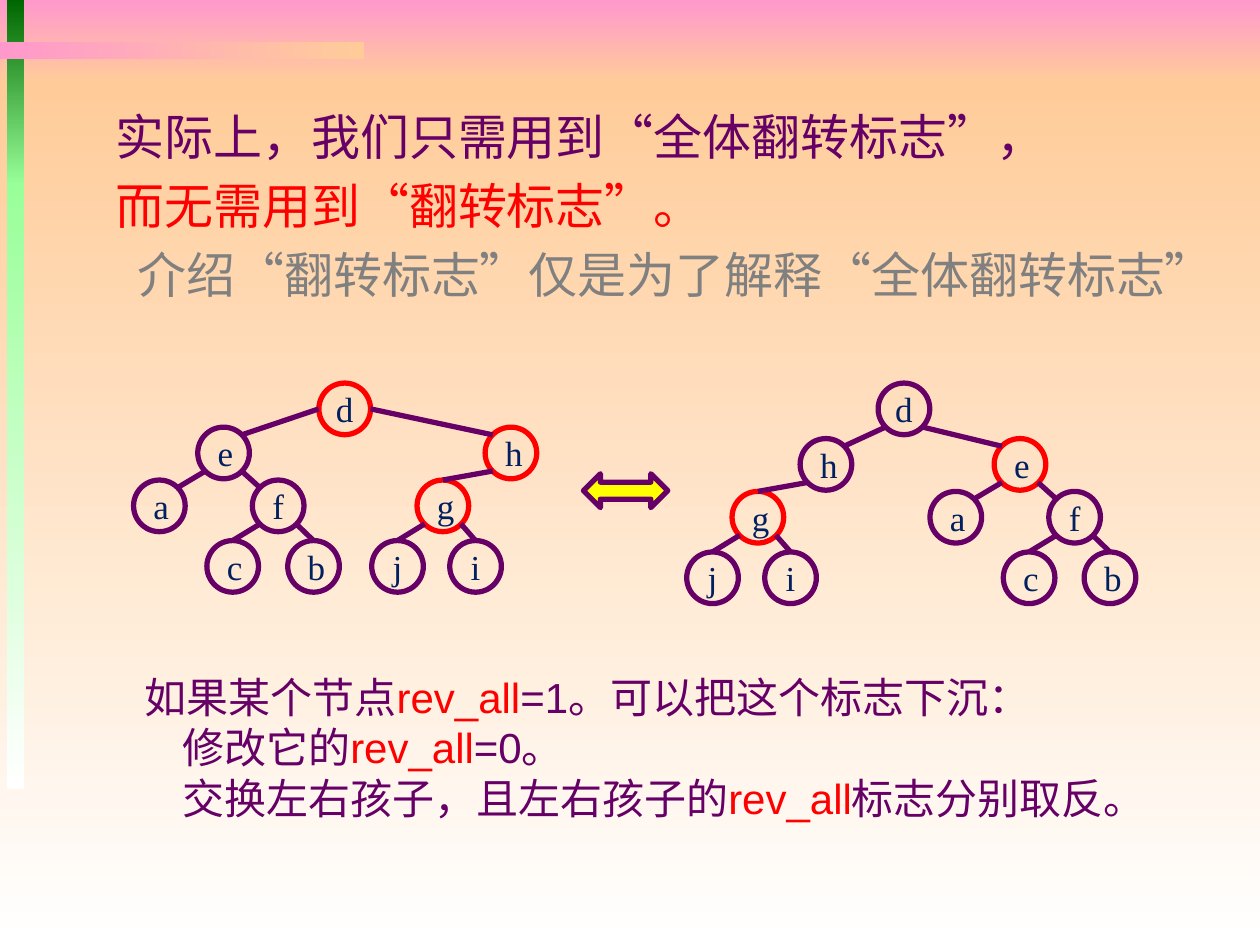
from lxml.etree import SubElement
from pptx import Presentation
from pptx.dml.color import RGBColor
from pptx.enum.shapes import MSO_CONNECTOR, MSO_SHAPE
from pptx.enum.text import MSO_ANCHOR, PP_ALIGN
from pptx.oxml.ns import qn
from pptx.util import Pt

COLORS = {
    "pink": "FF99CC", "peach": "FFCC99", "white": "FFFFFF",
    "dark green": "006600", "light green": "99FF99", "yellow": "FFFF00",
    "purple": "660066", "red": "FF0000", "gray": "808080", "navy": "002060",
}
NODE_SIZE = 29.5

# Positions on a node's outline, as fractions of its size
PORTS = {
    "top": (0.5, 0), "left": (0, 0.5), "right": (1, 0.5),
    "top left": (0.15, 0.15), "top right": (0.85, 0.15),
    "bottom left": (0.15, 0.85), "bottom right": (0.85, 0.85),
}

# Subtrees: offsets from the subtree root, and edges with their ports
E_NODES = {"e": (0, 0), "a": (-36.7, 30.2), "f": (31.2, 30.2),
           "c": (5.2, 64.8), "b": (51.4, 64.8)}
H_NODES = {"h": (0, 0), "g": (-38.9, 30.2), "j": (-64.8, 64.8),
           "i": (-20.2, 64.8)}
SUBTREE_EDGES = [
    ("e", "bottom left", "a", "top right"),
    ("e", "bottom right", "f", "top left"),
    ("f", "bottom left", "c", "top"),
    ("f", "bottom right", "b", "top"),
    ("h", "bottom left", "g", "top"),
    ("g", "bottom left", "j", "top"),
    ("g", "bottom right", "i", "top"),
]


def rgb(name):
    return RGBColor.from_string(COLORS[name])


def add_band(slide, box, start, end, angle=270):
    band = slide.shapes.add_shape(MSO_SHAPE.RECTANGLE, *map(Pt, box))
    band.shadow.inherit = False
    band.line.fill.background()
    band.fill.gradient()
    band.fill.gradient_angle = angle
    for stop, color in zip(band.fill.gradient_stops, (start, end)):
        stop.color.rgb = rgb(color)


def add_text(slide, box, lines, size, space_before=0, wrap=True):
    """Each line is (indent, [(text, color), ...])."""
    frame = slide.shapes.add_textbox(*map(Pt, box)).text_frame
    frame.word_wrap = wrap
    for number, (indent, parts) in enumerate(lines):
        paragraph = frame.add_paragraph() if number else frame.paragraphs[0]
        if number:
            paragraph.space_before = Pt(space_before)
        if indent:
            paragraph._p.get_or_add_pPr().set("marL", str(Pt(indent)))
        paragraph.font.name = "Arial"
        paragraph.font.size = Pt(size)
        for text, color in parts:
            run = paragraph.add_run()
            run.text = text
            run.font.color.rgb = rgb(color)


def add_node(slide, letter, position, color):
    node = slide.shapes.add_shape(MSO_SHAPE.OVAL, *map(Pt, position),
                                  Pt(NODE_SIZE), Pt(NODE_SIZE))
    node.shadow.inherit = False
    node.fill.background()
    node.line.color.rgb = rgb(color)
    node.line.width = Pt(3)
    frame = node.text_frame
    frame.word_wrap = letter != "d"
    frame.vertical_anchor = MSO_ANCHOR.MIDDLE
    label = frame.paragraphs[0]
    label.text = letter
    label.alignment = PP_ALIGN.CENTER
    label.font.name = "Times New Roman"
    label.font.size = Pt(20)
    label.font.color.rgb = rgb("navy")


def port_point(position, port):
    return [Pt(start + NODE_SIZE * part)
            for start, part in zip(position, PORTS[port])]


def add_edge(slide, parent, parent_port, child, child_port):
    edge = slide.shapes.add_connector(
        MSO_CONNECTOR.STRAIGHT,
        *port_point(parent, parent_port), *port_point(child, child_port))
    edge.line.color.rgb = rgb("purple")
    edge.line.width = Pt(3)
    SubElement(edge._element.spPr, qn("a:effectLst"))


def add_tree(slide, root, e_root, h_root, root_edges, flagged):
    positions = {"d": root}
    for (left, top), nodes in ((e_root, E_NODES), (h_root, H_NODES)):
        for letter, (dx, dy) in nodes.items():
            positions[letter] = (left + dx, top + dy)
    for letter, position in positions.items():
        add_node(slide, letter, position,
                 "red" if letter in flagged else "purple")
    for parent, parent_port, child, child_port in root_edges + SUBTREE_EDGES:
        add_edge(slide, positions[parent], parent_port,
                 positions[child], child_port)


def add_double_arrow(slide, box):
    arrow = slide.shapes.add_shape(MSO_SHAPE.LEFT_RIGHT_ARROW, *map(Pt, box))
    arrow.shadow.inherit = False
    arrow.fill.solid()
    arrow.fill.fore_color.rgb = rgb("yellow")
    arrow.line.color.rgb = rgb("purple")
    arrow.line.width = Pt(3)


def main():
    deck = Presentation()
    deck.slide_width, deck.slide_height = Pt(720), Pt(540)
    slide = deck.slides.add_slide(deck.slide_layouts[6])

    # Background and decoration
    add_band(slide, (0, 0, 720, 48), "pink", "peach")
    add_band(slide, (0, 48, 720, 492), "peach", "white")
    add_band(slide, (4, 0, 10, 106), "dark green", "light green")
    add_band(slide, (4, 105, 10, 346), "light green", "white")
    add_band(slide, (0, 24, 208, 10), "pink", "peach", angle=0)

    # Statement
    add_text(slide, (59, 57.5, 670, 137.5), [
        (0, [("实际上，我们只需用到“全体翻转标志”，", "purple")]),
        (0, [("而无需用到“翻转标志”。", "red")]),
        (12.5, [("介绍“翻转标志”仅是为了解释“全体翻转标志”", "gray")]),
    ], size=28, space_before=5.6)

    # Equivalent trees; flagged nodes are red
    add_tree(slide, (182.2, 218.9), (113, 244.1), (277.2, 244.1),
             [("d", "left", "e", "top right"),
              ("d", "right", "h", "top left")], flagged="dhg")
    add_tree(slide, (501.8, 218.9), (568.1, 250.6), (457.2, 250.6),
             [("d", "bottom right", "e", "top left"),
              ("d", "bottom left", "h", "top right")], flagged="eg")
    add_double_arrow(slide, (333.4, 270.7, 48.2, 19.4))

    # Pushing the flag down
    add_text(slide, (75.6, 380.2, 597.6, 94.3), [
        (0, [("如果某个节点", "purple"), ("rev_all", "red"),
             ("=1。可以把这个标志下沉：", "purple")]),
        (21.5, [("修改它的", "purple"), ("rev_all", "red"),
                ("=0。", "purple")]),
        (21.5, [("交换左右孩子，且左右孩子的", "purple"), ("rev_all", "red"),
                ("标志分别取反。", "purple")]),
    ], size=24, wrap=False)

    deck.save("out.pptx")


if __name__ == "__main__":
    main()
